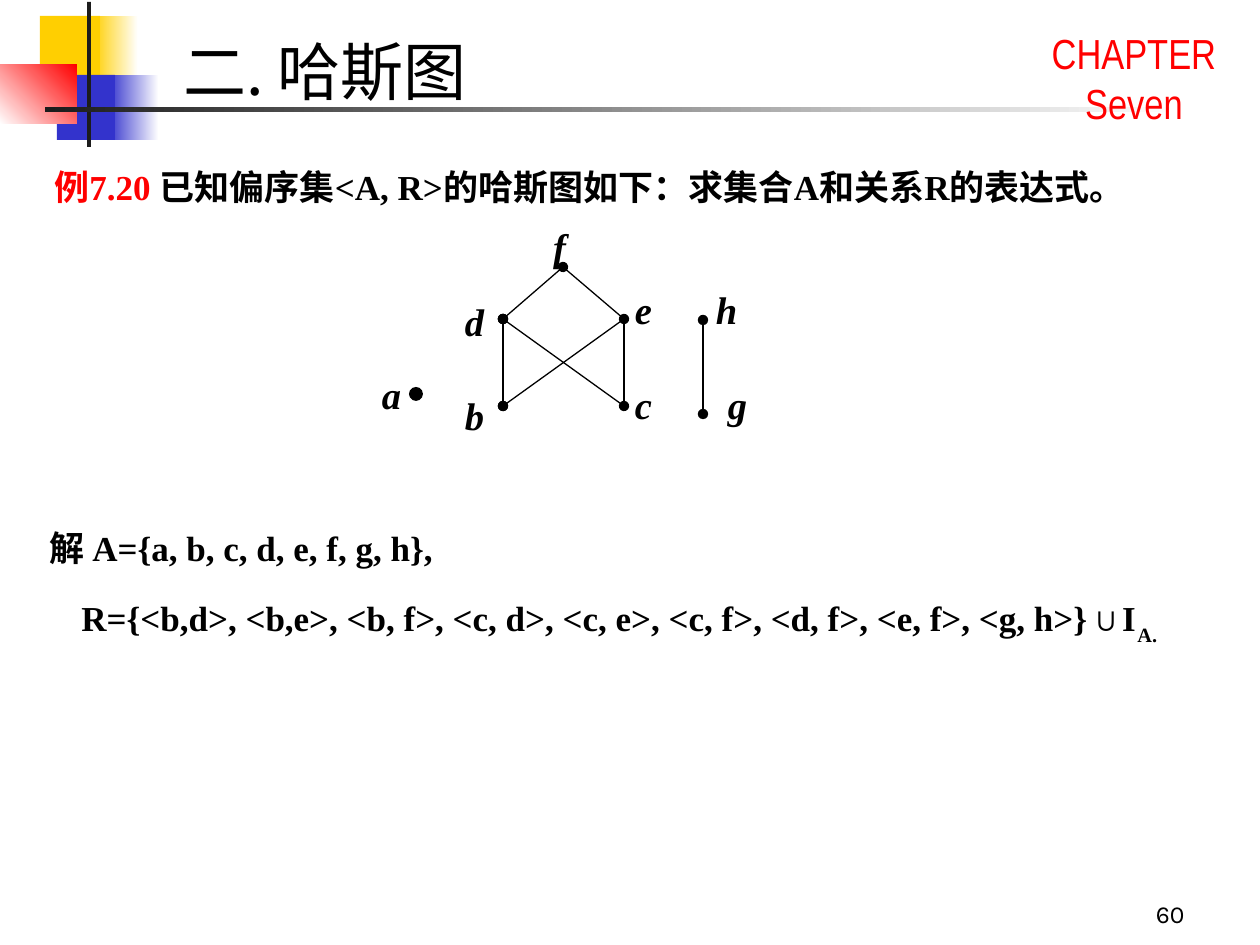
from dataclasses import dataclass
from lxml import etree
from pptx import Presentation
from pptx.dml.color import RGBColor
from pptx.enum.shapes import MSO_CONNECTOR, MSO_SHAPE
from pptx.enum.text import MSO_ANCHOR, PP_ALIGN
from pptx.oxml.ns import qn
from pptx.util import Emu, Pt

RECT, OVAL, STRAIGHT = MSO_SHAPE.RECTANGLE, MSO_SHAPE.OVAL, MSO_CONNECTOR.STRAIGHT
TOP, BOTTOM = MSO_ANCHOR.TOP, MSO_ANCHOR.BOTTOM
LEFT, CENTER, RIGHT = PP_ALIGN.LEFT, PP_ALIGN.CENTER, PP_ALIGN.RIGHT
JUSTIFY = PP_ALIGN.JUSTIFY
EMU_PER_PX = 914400 / 126


@dataclass(frozen=True)
class Theme:
    black: str = "000000"
    dark: str = "1C1C1C"
    white: str = "FFFFFF"
    red: str = "FF0000"
    yellow: str = "FFCF01"
    blue: str = "3333CC"
    serif: str = "Times New Roman"
    cjk: str = "Noto Sans CJK SC"
    narrow: str = "Arial Narrow"
    number: str = "Karla"
    title_size: int = 36
    chapter_size: int = 24
    label_size: int = 22
    body_size: int = 20
    number_size: int = 14
    line_width: float = 0.75


T = Theme()

# Header ornament: box, colours (two make a gradient), gradient angle
ORNAMENT = [
    ((93, 16, 45, 66), (T.yellow, T.white), 0),
    ((108, 75, 51, 65), (T.blue, T.white), 0),
    ((40, 16, 60, 66), (T.yellow,), 0),
    ((57, 75, 58, 65), (T.blue,), 0),
    ((0, 65, 77, 59), (T.white, T.red), 45),
    ((87, 2, 4, 145), (T.dark,), 0),
    ((45, 107, 1134, 5), (T.dark, T.white), 0),
]

# Hasse diagram: vertices, label corners, edges (with or without dotted ends)
VERTICES = {"b": (503, 406), "c": (624, 406), "d": (503, 319), "e": (624, 319),
            "f": (563, 267), "g": (703, 414), "h": (703, 320)}
LABELS = {"a": (368, 362), "e": (620, 277), "d": (451, 289), "f": (536, 214),
          "h": (703, 277), "g": (714, 372), "b": (451, 383), "c": (620, 372)}
LABEL_SIZE = (47, 55)
EDGES = [("b", "d", True), ("d", "f", True), ("f", "e", False), ("e", "c", False),
         ("b", "e", True), ("d", "c", True), ("h", "g", True)]
ISOLATED_DOT = (409, 387, 14, 14)
SPECK = (241, 277)

# Text: a run is (text, style); a paragraph is (runs, layout)
BODY = dict(font=T.serif, size=T.body_size, bold=True)
EXAMPLE = [([("例7.20 ", {**BODY, "color": T.red}),
             ("已知偏序集<A, R>的哈斯图如下：求集合A和关系R的表达式。", BODY)],
            dict(spacing=1.3))]
SOLUTION = [
    ([("解 ", {**BODY, "font": T.cjk}), ("A={a, b, c, d, e, f, g, h},", BODY)],
     dict(align=JUSTIFY, spacing=1.2)),
    ([("R={<b,d>, <b,e>, <b, f>, <c, d>, <c, e>, <c, f>, <d, f>, <e, f>, <g, h>}∪I", BODY),
      ("A.", {**BODY, "baseline": -30})],
     dict(align=JUSTIFY, before=16, indent=32)),
]
TITLE = [([("二. 哈斯图", dict(font=T.cjk, size=T.title_size))], dict(spacing=1.2))]
CHAPTER = [([("CHAPTER Seven", dict(font=T.narrow, size=T.chapter_size, color=T.red))],
            dict(align=CENTER))]
NUMBER = [([("60", dict(font=T.number, size=T.number_size))], dict(align=RIGHT))]
LABEL = dict(font=T.serif, size=T.label_size, bold=True, italic=True)


def px(*values):
    return [Emu(round(v * EMU_PER_PX)) for v in values]


def rgb(color):
    return RGBColor.from_string(color)


def add_block(shapes, kind, box, colors, angle=0):
    sp = shapes.add_shape(kind, *px(*box))
    sp.shadow.inherit = False
    sp.line.fill.background()
    if len(colors) == 1:
        sp.fill.solid()
        sp.fill.fore_color.rgb = rgb(colors[0])
        return
    sp.fill.gradient()
    sp.fill.gradient_angle = angle
    for stop, color, position in zip(sp.fill.gradient_stops, colors, (0, 1)):
        stop.color.rgb = rgb(color)
        stop.position = position


def add_line(shapes, start, end, dotted=False):
    cx = shapes.add_connector(STRAIGHT, *px(*start, *end))
    cx.line.color.rgb = rgb(T.black)
    cx.line.width = Pt(T.line_width)
    if dotted:
        ln = cx.line._get_or_add_ln()
        for tag in ("a:headEnd", "a:tailEnd"):
            etree.SubElement(ln, qn(tag), type="oval")
    etree.SubElement(cx._element.spPr, qn("a:effectLst"))


def add_run(p, text, font, size, color=T.black, bold=False, italic=False, baseline=0):
    r = p.add_run()
    r.text = text
    r.font.name, r.font.size = font, Pt(size)
    r.font.bold, r.font.italic = bold, italic
    r.font.color.rgb = rgb(color)
    rPr = r._r.get_or_add_rPr()
    etree.SubElement(rPr, qn("a:ea"), typeface=T.cjk)
    if baseline:
        rPr.set("baseline", str(baseline * 1000))


def add_text(shapes, box, paragraphs, anchor=TOP, inset=True):
    tf = shapes.add_textbox(*px(*box)).text_frame
    tf.word_wrap = True
    tf.vertical_anchor = anchor
    if not inset:
        tf.margin_left = tf.margin_top = tf.margin_right = tf.margin_bottom = 0
    for i, (runs, layout) in enumerate(paragraphs):
        p = tf.add_paragraph() if i else tf.paragraphs[0]
        p.alignment = layout.get("align", LEFT)
        p.line_spacing = layout.get("spacing", 1.0)
        if "before" in layout:
            p.space_before = Pt(layout["before"])
        if "indent" in layout:
            p._p.get_or_add_pPr().set("marL", str(px(layout["indent"])[0]))
        for text, style in runs:
            add_run(p, text, **style)


def main():
    prs = Presentation()
    prs.slide_width, prs.slide_height = px(1260, 945)
    s = prs.slides.add_slide(prs.slide_layouts[6])

    # Header and slide number
    ornament = s.shapes.add_group_shape().shapes
    for box, colors, angle in ORNAMENT:
        add_block(ornament, RECT, box, colors, angle)
    add_text(s.shapes, (1008, 21, 252, 113), CHAPTER)
    add_text(s.shapes, (935, 872, 262, 63), NUMBER, BOTTOM)
    add_text(s.shapes, (171, 35, 568, 79), TITLE, BOTTOM)

    # Problem statement
    add_text(s.shapes, (42, 147, 1197, 68), EXAMPLE)
    add_line(s.shapes, SPECK, SPECK)

    # Hasse diagram
    diagram = s.shapes.add_group_shape().shapes
    for start, end, dotted in EDGES:
        add_line(diagram, VERTICES[start], VERTICES[end], dotted)
    add_block(diagram, OVAL, ISOLATED_DOT, (T.black,))
    for name, corner in LABELS.items():
        add_text(diagram, (*corner, *LABEL_SIZE),
                 [([(name, LABEL)], dict(align=CENTER, spacing=1.2))], inset=False)

    # Solution
    add_text(s.shapes, (37, 512, 1187, 189), SOLUTION)
    prs.save("out.pptx")


if __name__ == "__main__":
    main()
